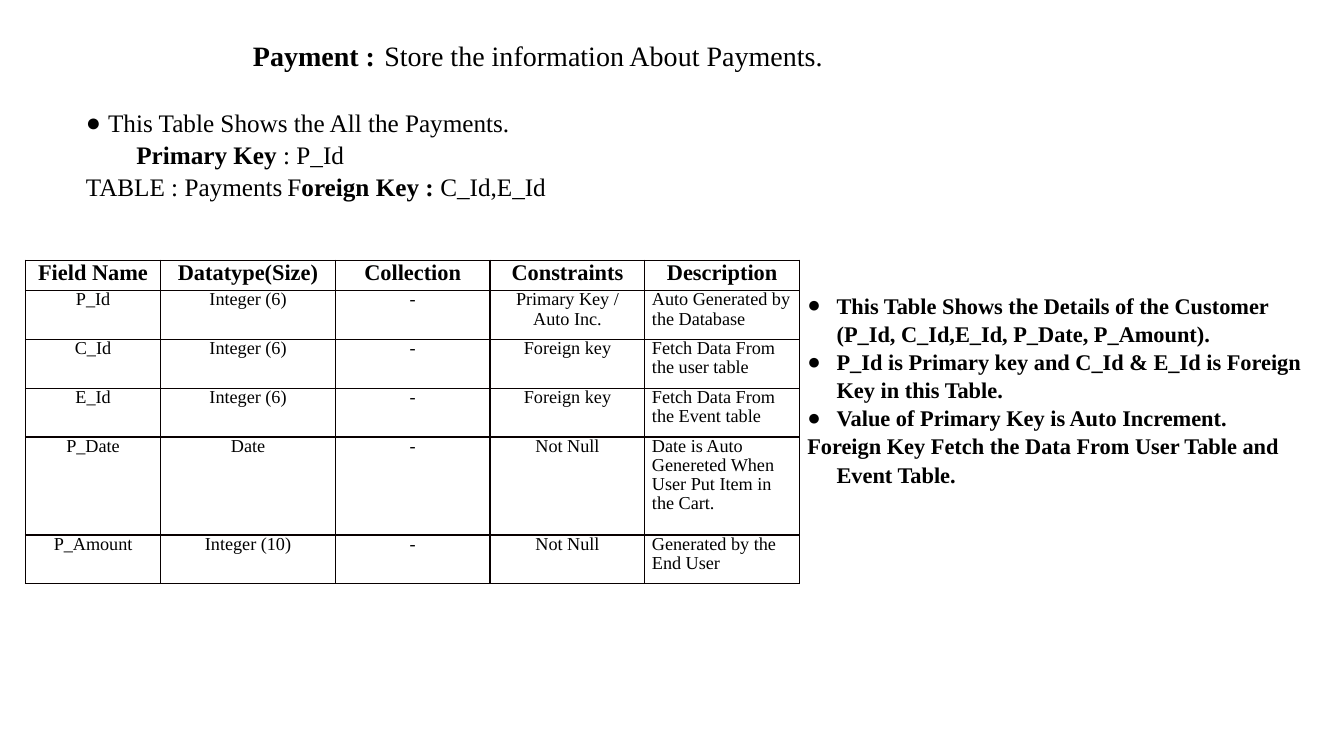
from dataclasses import dataclass
from lxml.etree import SubElement
from pptx import Presentation
from pptx.dml.color import RGBColor
from pptx.enum.text import MSO_ANCHOR, MSO_AUTO_SIZE, PP_ALIGN
from pptx.oxml.ns import qn
from pptx.util import Cm, Pt


@dataclass(frozen=True)
class Theme:
    ink: str = "000000"
    border: str = "080000"
    font: str = "Times New Roman"
    bullet_font: str = "Arial"
    title: float = 20
    title_gap: float = 26
    intro: float = 18
    notes: float = 16
    header: float = 16
    cell: float = 13
    border_width: float = 1
    spacing: float = 1.05
    cell_spacing: float = 0.96


THEME = Theme()

# Content: a paragraph is (bulleted, [(text, bold), ...])
TITLE = [("Payment :", True, THEME.title), (" ", True, THEME.title_gap),
         ("Store the information About Payments.", False, THEME.title)]
INTRO = [
    (True, [("This Table Shows the All the Payments.", False)]),
    (False, [("\tPrimary Key", True), (" : P_Id", False)]),
    (False, [("TABLE : Payments\tF", False), ("oreign Key : ", True), ("C_Id,E_Id", False)]),
]
NOTES = [
    (True, [("This Table Shows the Details of the Customer "
             "(P_Id, C_Id,E_Id, P_Date, P_Amount).", True)]),
    (True, [("P_Id is Primary key and C_Id & E_Id is Foreign Key in this Table.", True)]),
    (True, [("Value of Primary Key is Auto Increment.", True)]),
    (False, [("Foreign Key Fetch the Data From User Table and Event Table.", True)]),
]
FIELDS = [
    ("Field Name", "Datatype(Size)", "Collection", "Constraints", "Description"),
    ("P_Id", "Integer (6)", "-", "Primary Key / Auto Inc.", "Auto Generated by the Database"),
    ("C_Id", "Integer (6)", "-", "Foreign key", "Fetch Data From the user table"),
    ("E_Id", "Integer (6)", "-", "Foreign key", "Fetch Data From the Event table"),
    ("P_Date", "Date", "-", "Not Null",
     "Date is Auto Genereted When User Put Item in the Cart."),
    ("P_Amount", "Integer (10)", "-", "Not Null", "Generated by the End User"),
]

# Places in centimetres: left, top, width, height
TITLE_BOX = (6.12, 0.64, 17.73, 1.37)
INTRO_BOX = (1.91, 2.54, 25.32, 2.57)
NOTES_BOX = (20.09, 7.19, 13.44, 5.03)
TABLE_CORNER = (0.64, 6.56)
COLUMN_WIDTHS = (3.41, 4.4, 3.9, 3.9, 3.9)
ROW_HEIGHTS = (0.76, 1.23, 1.23, 1.23, 2.47, 1.23)
INTRO_INDENT, NOTES_INDENT, KEY_TAB = 0.56, 0.74, 17.78


def add_span(para, text, size, bold):
    span = para.add_run()
    span.text = text
    span.font.name, span.font.size, span.font.bold = THEME.font, Pt(size), bold
    span.font.color.rgb = RGBColor.from_string(THEME.ink)


def place(box, bounds):
    box.left, box.top, box.width, box.height = map(Cm, bounds)
    frame = box.text_frame
    frame.word_wrap, frame.auto_size = True, MSO_AUTO_SIZE.NONE
    frame.vertical_anchor = MSO_ANCHOR.TOP
    return frame


def set_list_format(para, bulleted, indent, tab):
    properties = para._p.get_or_add_pPr()
    properties.set("marL", str(Cm(indent)))
    properties.set("indent", str(-Cm(indent)))
    if bulleted:
        SubElement(properties, qn("a:buFont"), typeface=THEME.bullet_font)
        SubElement(properties, qn("a:buChar"), char="●")
    else:
        SubElement(properties, qn("a:buNone"))
    if tab:
        stops = SubElement(properties, qn("a:tabLst"))
        SubElement(stops, qn("a:tab"), pos=str(Cm(tab)), algn="l")


def fill_list(box, bounds, lines, size, indent, tab=None):
    frame = place(box, bounds)
    for number, (bulleted, spans) in enumerate(lines):
        para = frame.add_paragraph() if number else frame.paragraphs[0]
        para.alignment = PP_ALIGN.LEFT
        para.line_spacing = THEME.spacing
        para.space_before = para.space_after = Pt(0)
        hanging = indent if bulleted or not tab else 0
        set_list_format(para, bulleted, hanging, tab)
        for text, bold in spans:
            add_span(para, text, size, bold)


def draw_borders(cell):
    properties = cell._tc.get_or_add_tcPr()
    for position, side in enumerate(("a:lnL", "a:lnR", "a:lnT", "a:lnB")):
        line = properties.makeelement(qn(side), {"w": str(Pt(THEME.border_width))})
        SubElement(SubElement(line, qn("a:solidFill")), qn("a:srgbClr"), val=THEME.border)
        properties.insert(position, line)


def fill_cell(cell, text, heading, centred):
    cell.margin_left = cell.margin_right = Cm(0.18)
    cell.margin_top = cell.margin_bottom = 0
    cell.fill.background()
    draw_borders(cell)
    para = cell.text_frame.paragraphs[0]
    para.alignment = PP_ALIGN.CENTER if centred else PP_ALIGN.LEFT
    para.line_spacing = 1.0 if heading else THEME.cell_spacing
    add_span(para, text, THEME.header if heading else THEME.cell, heading)


def add_field_table(page):
    size = (sum(COLUMN_WIDTHS), sum(ROW_HEIGHTS))
    table = page.shapes.add_table(len(FIELDS), len(FIELDS[0]),
                                  *map(Cm, TABLE_CORNER + size)).table
    for column, width in zip(table.columns, COLUMN_WIDTHS):
        column.width = Cm(width)
    for row, height in zip(table.rows, ROW_HEIGHTS):
        row.height = Cm(height)
    last = len(COLUMN_WIDTHS) - 1
    for r, record in enumerate(FIELDS):
        for c, text in enumerate(record):
            fill_cell(table.cell(r, c), text, r == 0, r == 0 or c < last)


def main():
    deck = Presentation()
    deck.slide_width, deck.slide_height = Cm(33.87), Cm(19.05)
    page = deck.slides.add_slide(deck.slide_layouts.get_by_name("Two Content"))
    title, intro, notes = page.placeholders

    # Heading
    para = place(title, TITLE_BOX).paragraphs[0]
    para.alignment = PP_ALIGN.LEFT
    for text, bold, size in TITLE:
        add_span(para, text, size, bold)

    # Introduction with keys, field table, remarks
    fill_list(intro, INTRO_BOX, INTRO, THEME.intro, INTRO_INDENT, KEY_TAB)
    add_field_table(page)
    fill_list(notes, NOTES_BOX, NOTES, THEME.notes, NOTES_INDENT)

    deck.save("out.pptx")


if __name__ == "__main__":
    main()
